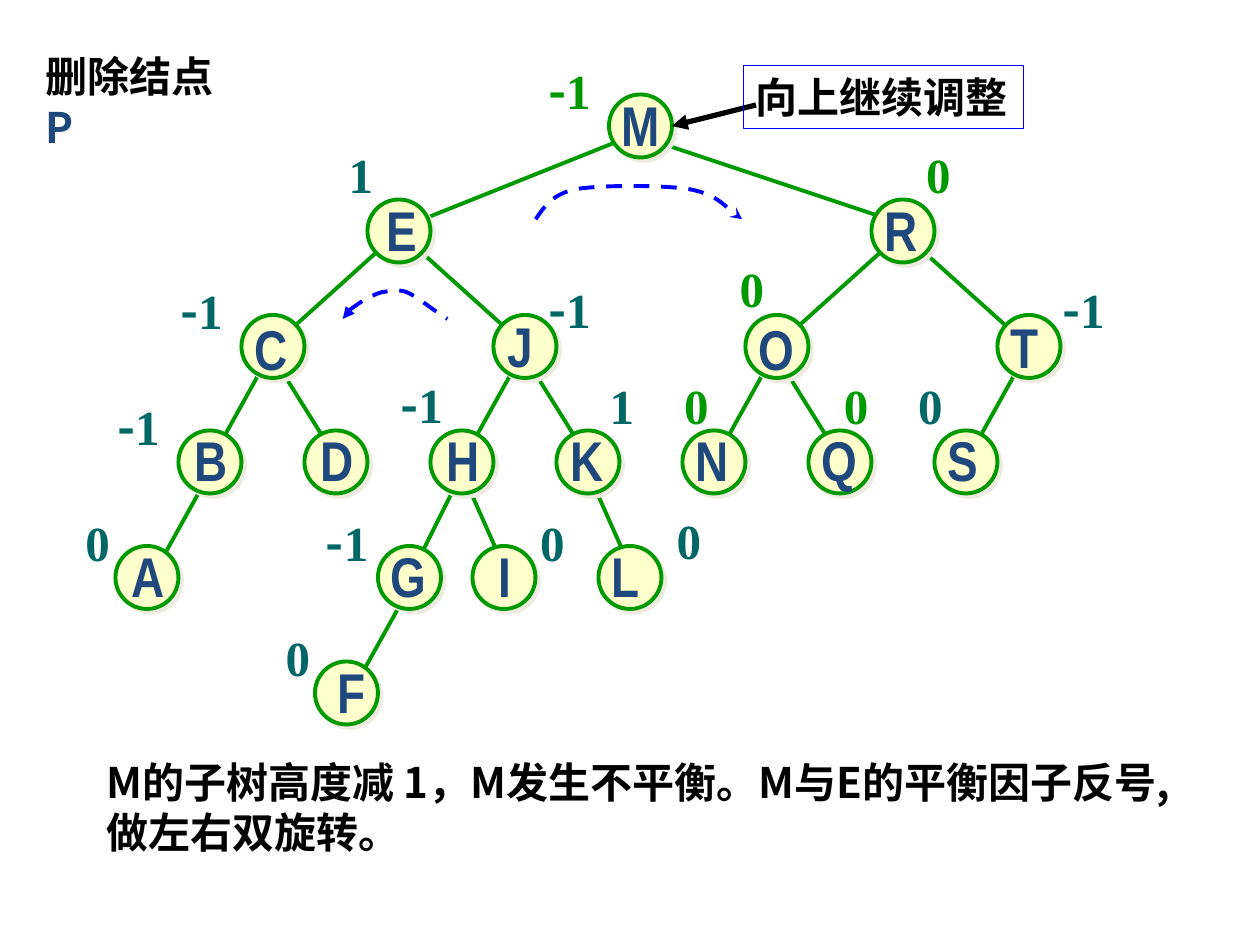
from lxml.etree import SubElement
from pptx import Presentation
from pptx.dml.color import RGBColor
from pptx.enum.dml import MSO_LINE_DASH_STYLE as DASH
from pptx.enum.shapes import MSO_CONNECTOR as CONNECTOR, MSO_SHAPE as SHAPE
from pptx.enum.text import MSO_ANCHOR as ANCHOR, MSO_AUTO_SIZE as AUTO_SIZE, PP_ALIGN as ALIGN
from pptx.oxml.ns import qn
from pptx.util import Cm, Pt

GREEN = RGBColor(0x00, 0x99, 0x00)
TEAL = RGBColor(0x00, 0x66, 0x66)
NAVY = RGBColor(0x1F, 0x49, 0x7D)
BLUE = RGBColor(0x00, 0x00, 0xFF)
BLACK = RGBColor(0x00, 0x00, 0x00)
CREAM = RGBColor(0xFF, 0xFF, 0xCC)
SHADOW = RGBColor(0xEE, 0xEC, 0xE1)
CJK = "Noto Sans CJK SC"
SERIF = "Times New Roman"
NARROW = "Arial Narrow"


def grid(steps):
    """The tree sits on a grid of twelve steps to 2.54 cm."""
    return Cm(steps * 2.54 / 12)


def write(shape, runs, font, size, color, wrap=False):
    """Fill a shape with one bold, left-aligned paragraph."""
    frame = shape.text_frame
    frame.word_wrap = wrap
    frame.auto_size = AUTO_SIZE.SHAPE_TO_FIT_TEXT
    frame.vertical_anchor = ANCHOR.TOP
    paragraph = frame.paragraphs[0]
    paragraph.alignment = ALIGN.LEFT
    for text in runs:
        paragraph.add_run().text = text
    paragraph.font.name = font
    paragraph.font.size = Pt(size)
    paragraph.font.bold = True
    paragraph.font.color.rgb = color
    return paragraph


prs = Presentation()
prs.slide_width, prs.slide_height = Cm(25.4), Cm(19.05)
slide = prs.slides.add_slide(prs.slide_layouts[5])
shapes = slide.shapes

# Title
title = shapes.title
title.left, title.top, title.width, title.height = Cm(0.66), Cm(0.89), Cm(4.4), Cm(1.27)
heading = write(title, ["删除结点", "P"], CJK, 24, BLACK, wrap=True)
heading.line_spacing = Pt(29)
heading.runs[1].font.color.rgb = NAVY

# Explanation
explanation = shapes.add_textbox(Cm(1.9), Cm(15.11), Cm(22.05), Cm(2.31))
write(explanation, ["M的子树高度减 1，M发生不平衡。M与E的平衡因子反号, 做左右双旋转。"],
      CJK, 24, BLACK, wrap=True).line_spacing = Pt(29)

# Tree edges, in grid steps: x and y of both ends
edges = [
    (60, 13, 40, 21), (61, 13, 85, 21),
    (37, 23, 27, 32), (39, 23, 49, 32), (85, 23, 75, 32), (88, 24, 98, 33),
    (25, 35, 20, 44), (26, 34, 31, 42), (49, 35, 44, 44), (50, 34, 55, 42),
    (73, 35, 68, 44), (74, 34, 79, 42), (97, 35, 92, 44),
    (20, 45, 15, 54), (44, 45, 39, 55), (44, 45, 48, 54), (56, 45, 60, 54),
    (39, 56, 34, 65),
]
for x1, y1, x2, y2 in edges:
    edge = shapes.add_connector(CONNECTOR.STRAIGHT, grid(x1), grid(y1), grid(x2), grid(y2))
    edge.line.color.rgb = GREEN
    edge.line.width = Pt(2.25)
    SubElement(edge._element.spPr, qn("a:effectLst"))

# Tree nodes: circle corner in grid steps, then letter left, top and width in cm
nodes = {
    "M": (58, 9, 12.27, 1.7, 1.3),
    "E": (35, 19, 7.54, 3.81, 1.12), "R": (83, 19, 17.58, 3.81, 1.19),
    "C": (23, 30, 4.88, 6.22, 1.19), "J": (47, 30, 9.98, 6.15, 1.02),
    "O": (71, 30, 15.04, 6.22, 1.22), "T": (95, 30, 20.12, 6.17, 1.07),
    "B": (17, 41, 3.68, 8.46, 1.19), "D": (29, 41, 6.22, 8.46, 1.19),
    "H": (41, 41, 8.76, 8.46, 1.19), "K": (53, 41, 11.25, 8.46, 1.19),
    "N": (65, 41, 13.77, 8.46, 1.19), "Q": (77, 41, 16.31, 8.46, 1.22),
    "S": (89, 41, 18.85, 8.46, 1.12),
    "A": (11, 52, 2.41, 10.8, 1.19), "G": (36, 52, 7.62, 10.8, 1.22),
    "I": (45, 52, 9.8, 10.8, 0.76), "L": (57, 52, 12.07, 10.8, 1.07),
    "F": (30, 63, 6.55, 13.13, 1.07),
}
for column, row, *_ in nodes.values():
    node = shapes.add_shape(SHAPE.OVAL, grid(column), grid(row), grid(6), grid(6))
    node.fill.solid()
    node.fill.fore_color.rgb = CREAM
    node.line.color.rgb = GREEN
    node.line.width = Pt(2.25)
    node.shadow.inherit = False
    effects = node._element.spPr.find(qn("a:effectLst"))
    shadow = SubElement(effects, qn("a:outerShdw"), dist=str(Pt(2.8)), dir="2700000",
                        algn="ctr", rotWithShape="0")
    SubElement(shadow, qn("a:srgbClr"), val=str(SHADOW))

for key, (_, _, left, top, width) in nodes.items():
    letter = shapes.add_textbox(Cm(left), Cm(top), Cm(width), Cm(1.6))
    write(letter, [key], NARROW, 32, NAVY)

# Balance factors: value, left and top in cm, colour
factors = [
    ("-1", 10.8, 1.09, GREEN), ("1", 6.78, 2.79, TEAL), ("0", 18.42, 2.79, GREEN),
    ("-1", 3.38, 5.54, TEAL), ("-1", 10.8, 5.51, TEAL), ("0", 14.66, 5.08, GREEN),
    ("-1", 21.16, 5.51, TEAL), ("-1", 2.11, 7.87, TEAL), ("-1", 7.82, 7.42, TEAL),
    ("1", 12.04, 7.44, TEAL), ("0", 13.54, 7.44, GREEN), ("0", 16.76, 7.44, GREEN),
    ("0", 18.26, 7.44, TEAL), ("0", 1.47, 10.21, TEAL), ("-1", 6.32, 10.21, TEAL),
    ("0", 10.64, 10.21, TEAL), ("0", 13.39, 10.16, TEAL), ("0", 5.51, 12.52, TEAL),
]
for value, left, top, color in factors:
    factor = shapes.add_textbox(Cm(left), Cm(top), Cm(1.5 if value == "-1" else 1.02), Cm(1.45))
    balance = write(factor, list(value), SERIF, 28, color)
    if value == "-1":
        balance.runs[0].font.name = CJK

# Callout and its arrow to the root
pointer = shapes.add_connector(CONNECTOR.STRAIGHT, grid(72), grid(10), grid(64), grid(12))
pointer.line.color.rgb = BLACK
pointer.line.width = Pt(3)
SubElement(pointer.line._get_or_add_ln(), qn("a:tailEnd"), type="triangle")
SubElement(pointer._element.spPr, qn("a:effectLst"))

callout = shapes.add_shape(SHAPE.RECTANGLE, Cm(14.99), Cm(1.32), Cm(5.64), Cm(1.27))
callout.fill.background()
callout.line.color.rgb = BLUE
callout.line.width = Pt(0.75)
callout.shadow.inherit = False
write(callout, ["向上继续调整"], CJK, 24, BLACK).line_spacing = Pt(29)

# Rotation arrows: start and Bézier points in cm, arrowhead
rotations = [
    ([(10.8, 4.42), (10.97, 4.17), (11.13, 3.91), (11.63, 3.81), (12.14, 3.73), (13.31, 3.73),
      (13.87, 3.81), (14.43, 3.91), (14.78, 4.32), (14.96, 4.42)], "a:tailEnd", "stealth"),
    ([(6.91, 6.43), (6.96, 6.35), (7.04, 6.25), (7.16, 6.17), (7.29, 6.07), (7.52, 5.94),
      (7.7, 5.89), (7.87, 5.87), (8, 5.82), (8.2, 5.89), (8.43, 5.99), (8.86, 6.35),
      (9.02, 6.43)], "a:headEnd", "triangle"),
]
for points, end, head in rotations:
    start, *controls = [(Cm(x), Cm(y)) for x, y in points]
    outline = shapes.build_freeform(*start)
    outline.add_line_segments(controls, close=False)
    rotation = outline.convert_to_shape()
    curve = rotation._element.find(".//" + qn("a:path"))
    segments = curve.findall(qn("a:lnTo"))
    for first in range(0, len(segments), 3):
        bezier = SubElement(curve, qn("a:cubicBezTo"))
        for segment in segments[first:first + 3]:
            bezier.append(segment[0])
            curve.remove(segment)
    rotation.fill.background()
    rotation.line.color.rgb = BLUE
    rotation.line.width = Pt(2.25)
    rotation.line.dash_style = DASH.DASH
    SubElement(rotation.line._get_or_add_ln(), qn(end), type=head)
    rotation.shadow.inherit = False

prs.save("out.pptx")
